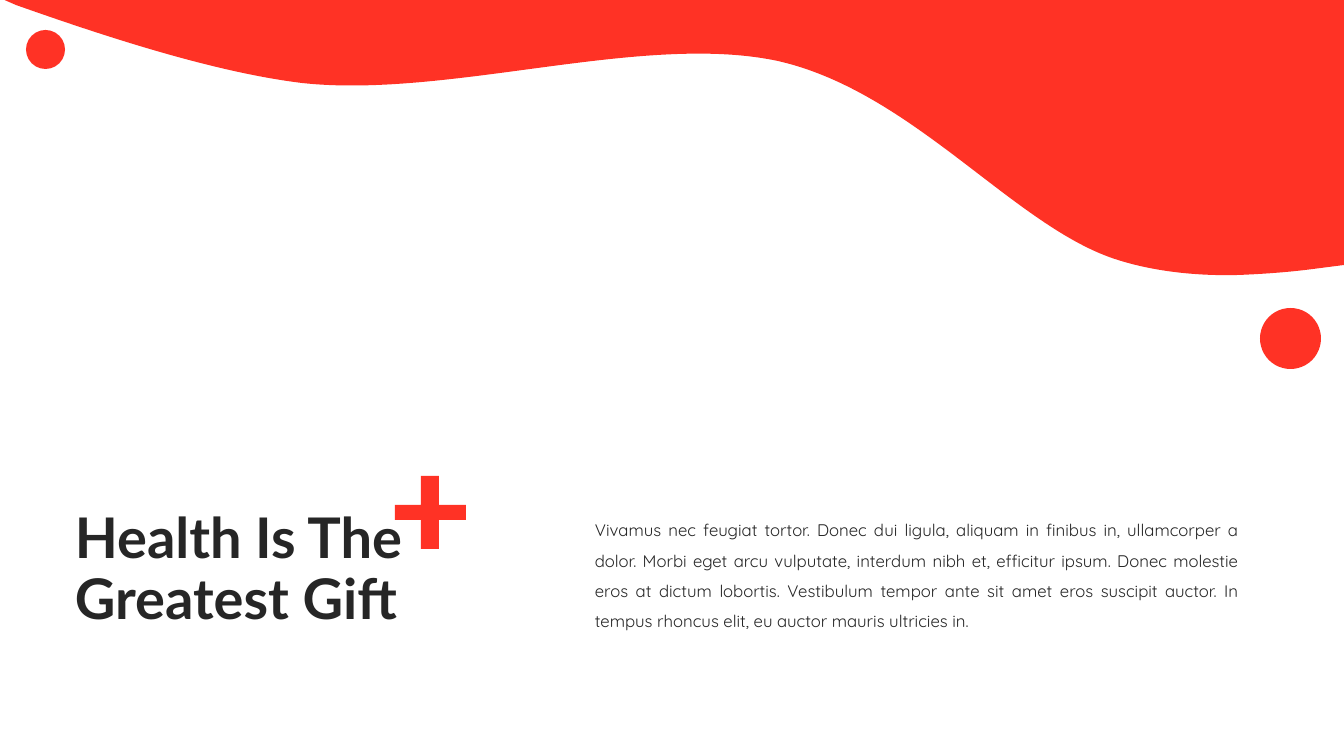
from lxml import etree
from pptx import Presentation
from pptx import util as u
from pptx.dml.color import RGBColor
from pptx.enum import shapes, text
from pptx.oxml import ns

RED = RGBColor(0xFF, 0x32, 0x25)
INK = RGBColor(0x26, 0x26, 0x26)
SLIDE_W, SLIDE_H = 1344, 756
SCALE = u.Inches(7.5) / SLIDE_H


def px(n):
    return u.Emu(round(n * SCALE))


def paint(sp):
    sp.shadow.inherit = False
    sp.fill.solid()
    sp.fill.fore_color.rgb = RED
    sp.line.fill.background()


def outline(s, x, y, points):
    pts = [(px(x + dx), px(y + dy)) for dx, dy in points]
    builder = s.shapes.build_freeform(*pts[0], scale=1.0)
    builder.add_line_segments(pts[1:], close=True)
    sp = builder.convert_to_shape()
    paint(sp)
    return sp


def bend_segments(sp, first, count):
    """Merge each three line segments from the given one into a cubic curve."""
    lines = list(sp.element.iter(ns.qn("a:lnTo")))
    for i in range(first, first + 3 * count, 3):
        curve = etree.Element(ns.qn("a:cubicBezTo"))
        lines[i].addprevious(curve)
        for line in lines[i:i + 3]:
            curve.append(line[0])
            line.getparent().remove(line)


def add_wave(s, x, y, w):
    corners = [(w, 0), (0, 0), (16, 7)]
    bends = [
        (101, 37), (212, 74), (302, 85),
        (449, 101), (642, 34), (778, 63),
        (914, 94), (1015, 230), (1118, 262),
        (1156, 274), (1199, 278), (1238, 277),
        (1264, 276), (1290, 274), (1313, 271),
    ]
    sp = outline(s, x, y, corners + bends + [(w, 267)])
    bend_segments(sp, len(corners) - 1, len(bends) // 3)


def add_dot(s, x, y, size):
    paint(s.shapes.add_shape(shapes.MSO_SHAPE.OVAL, px(x), px(y), px(size), px(size)))


def add_plus(s, x, y, w, h):
    left, right, top, bottom = 26, 44, 29, 44
    outline(s, x, y, [(left, 0), (right, 0), (right, top), (w, top),
                      (w, bottom), (right, bottom), (right, h), (left, h),
                      (left, bottom), (0, bottom), (0, top), (left, top)])


def add_text(s, x, y, w, h, words, font, size, spacing, bold=False,
             align=text.PP_ALIGN.LEFT, anchor=text.MSO_ANCHOR.TOP,
             fit=text.MSO_AUTO_SIZE.NONE):
    tf = s.shapes.add_textbox(px(x), px(y), px(w), px(h)).text_frame
    tf.word_wrap = True
    tf.auto_size = fit
    tf.vertical_anchor = anchor
    p = tf.paragraphs[0]
    p.alignment = align
    p.line_spacing = spacing
    r = p.add_run()
    r.text = words
    r.font.name = font
    r.font.size = u.Pt(size)
    r.font.bold = bold
    r.font.color.rgb = INK


def add_quote_slide(prs):
    s = prs.slides.add_slide(prs.slide_layouts[6])
    # Wave, bleeding slightly over the top edge
    add_wave(s, 0, -2, SLIDE_W)
    # Large dot and plus sign
    add_dot(s, 1260, 308, 61)
    add_plus(s, 395, 476, 71, 73)
    # Body text
    add_text(s, 585, 505, 664, 132,
             "Vivamus nec feugiat tortor. Donec dui ligula, aliquam in finibus in, "
             "ullamcorper a dolor. Morbi eget arcu vulputate, interdum nibh et, "
             "efficitur ipsum. Donec molestie eros at dictum lobortis. Vestibulum "
             "tempor ante sit amet eros suscipit auctor. In tempus rhoncus elit, "
             "eu auctor mauris ultricies in.",
             "Quicksand", 12, 1.5, align=text.PP_ALIGN.JUSTIFY,
             fit=text.MSO_AUTO_SIZE.SHAPE_TO_FIT_TEXT)
    # Small dot
    add_dot(s, 26, 30, 39)
    # Title
    add_text(s, 65, 498, 512, 146, "Health Is The Greatest Gift", "Lato", 40, 0.9,
             bold=True, anchor=text.MSO_ANCHOR.MIDDLE)


def main():
    prs = Presentation()
    prs.slide_width, prs.slide_height = px(SLIDE_W), px(SLIDE_H)
    add_quote_slide(prs)
    prs.save("out.pptx")


if __name__ == "__main__":
    main()
